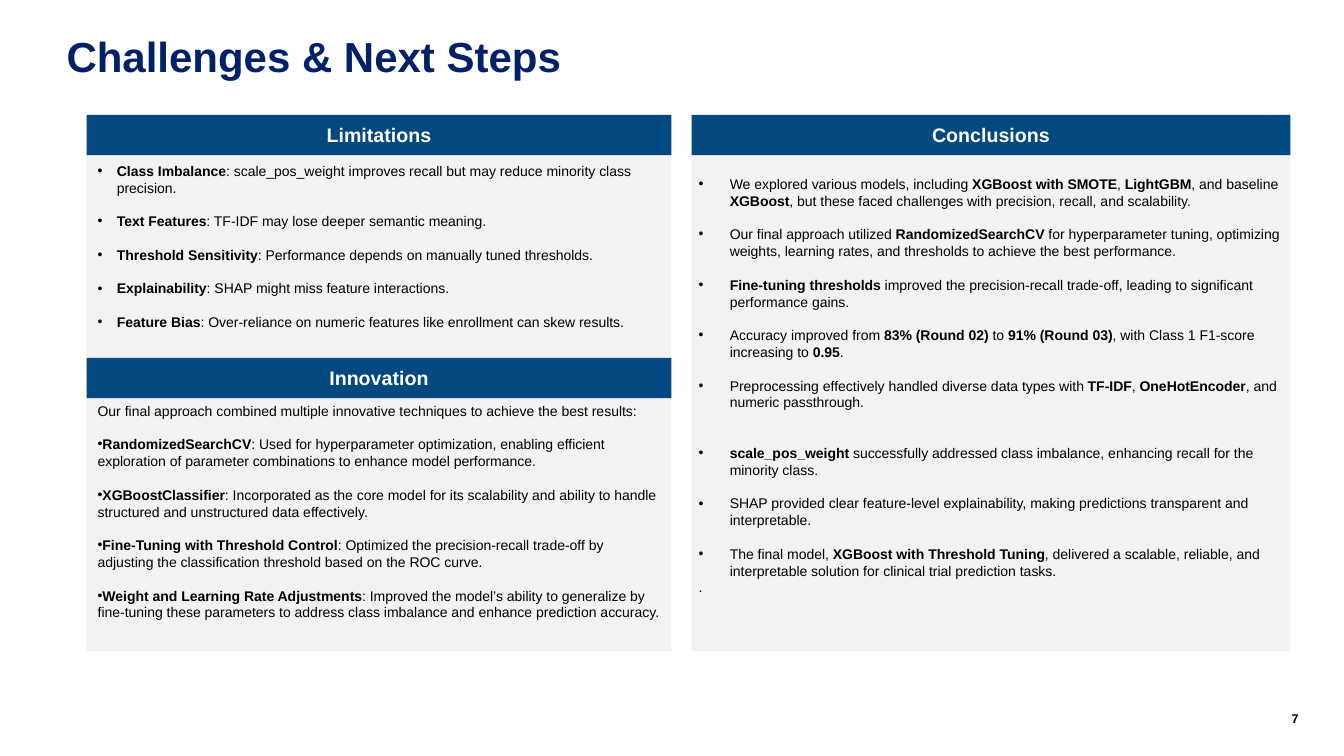
from lxml.etree import SubElement
from pptx import Presentation
from pptx.dml.color import RGBColor
from pptx.enum.shapes import MSO_SHAPE as Shape
from pptx.enum.text import MSO_ANCHOR as Anchor, PP_ALIGN as Align
from pptx.oxml.ns import qn
from pptx.util import Inches, Pt

NAVY, BLUE, GRAY, WHITE, BLACK = "002068", "03487F", "F2F2F2", "FFFFFF", "000000"


def color(value):
    return RGBColor.from_string(value)


def write(shape, paragraphs, size=10, text_color=BLACK, bold=False, align=Align.LEFT,
          anchor=Anchor.TOP, margin=None, line_spacing=None, gap=0, hanging=0):
    """Fill a shape with text: ** switches bold, a leading • makes a bullet."""
    frame = shape.text_frame
    frame.word_wrap = True
    frame.vertical_anchor = anchor
    if margin is not None:
        frame.margin_left = frame.margin_right = Inches(margin)
        frame.margin_top = frame.margin_bottom = Inches(margin)
    for index, text in enumerate(paragraphs):
        paragraph = frame.paragraphs[0] if index == 0 else frame.add_paragraph()
        paragraph.alignment = align
        paragraph.line_spacing = line_spacing
        paragraph.space_before = Pt(0)
        paragraph.space_after = Pt(gap)
        if text.startswith("•"):
            properties = paragraph._p.get_or_add_pPr()
            properties.set("marL", str(Inches(hanging)))
            properties.set("indent", str(-Inches(hanging)))
            SubElement(properties, qn("a:buFont")).set("typeface", "Arial")
            SubElement(properties, qn("a:buChar")).set("char", "•")
        for part, words in enumerate(text.removeprefix("•").split("**")):
            if words:
                run = paragraph.add_run()
                run.text = words
                run.font.name = "Arial"
                run.font.size = Pt(size)
                run.font.bold = bold or part % 2 == 1
                run.font.color.rgb = color(text_color)
    return frame


presentation = Presentation()
presentation.slide_width, presentation.slide_height = Inches(13.33), Inches(7.5)
slide = presentation.slides.add_slide(presentation.slide_layouts[5])

# Title
title = slide.shapes.title
title.left, title.top, title.width, title.height = map(Inches, (0.66, 0.34, 9.62, 0.51))
write(title, ["Challenges & Next Steps"], size=30, text_color=NAVY, bold=True,
      margin=0, line_spacing=0.95)

# Gray panels, then the blue heading bars
left_column, right_column = (0.86, 5.8), (6.86, 5.94)
blocks = [
    (left_column, 1.53, 4.93, GRAY, None),
    (right_column, 1.53, 4.93, GRAY, None),
    (left_column, 1.14, 0.4, BLUE, "Limitations"),
    (right_column, 1.14, 0.4, BLUE, "Conclusions"),
    (left_column, 3.55, 0.4, BLUE, "Innovation"),
]
for (left, width), top, height, fill, heading in blocks:
    block = slide.shapes.add_shape(
        Shape.RECTANGLE, Inches(left), Inches(top), Inches(width), Inches(height))
    block.shadow.inherit = False
    block.fill.solid()
    block.fill.fore_color.rgb = color(fill)
    block.line.fill.background()
    if heading:
        write(block, [heading], size=14, text_color=WHITE, bold=True,
              align=Align.CENTER, anchor=Anchor.MIDDLE)

# Body texts
limitations = [
    "•**Class Imbalance**: scale_pos_weight improves recall but may reduce minority class precision.",
    "•**Text Features**: TF-IDF may lose deeper semantic meaning.",
    "•**Threshold Sensitivity**: Performance depends on manually tuned thresholds.",
    "•**Explainability**: SHAP might miss feature interactions.",
    "•**Feature Bias**: Over-reliance on numeric features like enrollment can skew results.",
]
innovation = [
    "Our final approach combined multiple innovative techniques to achieve the best results:",
    "•**RandomizedSearchCV**: Used for hyperparameter optimization, enabling efficient "
    "exploration of parameter combinations to enhance model performance.",
    "•**XGBoostClassifier**: Incorporated as the core model for its scalability and ability "
    "to handle structured and unstructured data effectively.",
    "•**Fine-Tuning with Threshold Control**: Optimized the precision-recall trade-off by "
    "adjusting the classification threshold based on the ROC curve.",
    "•**Weight and Learning Rate Adjustments**: Improved the model’s ability to generalize by "
    "fine-tuning these parameters to address class imbalance and enhance prediction accuracy.",
]
conclusions = [
    "•We explored various models, including **XGBoost with SMOTE**, **LightGBM**, and baseline "
    "**XGBoost**, but these faced challenges with precision, recall, and scalability.",
    "•Our final approach utilized **RandomizedSearchCV** for hyperparameter tuning, optimizing "
    "weights, learning rates, and thresholds to achieve the best performance.",
    "•**Fine-tuning thresholds** improved the precision-recall trade-off, leading to significant "
    "performance gains.",
    "•Accuracy improved from **83% (Round 02)** to **91% (Round 03)**, with Class 1 F1-score "
    "increasing to **0.95**.",
    "•Preprocessing effectively handled diverse data types with **TF-IDF**, **OneHotEncoder**, "
    "and numeric passthrough.",
    "•**scale_pos_weight** successfully addressed class imbalance, enhancing recall for the "
    "minority class.",
    "•SHAP provided clear feature-level explainability, making predictions transparent and "
    "interpretable.",
    "•The final model, **XGBoost with Threshold Tuning**, delivered a scalable, reliable, and "
    "interpretable solution for clinical trial prediction tasks.",
    ".",
]
bodies = [
    (limitations, (0.87, 1.56, 5.79, 1.81), {"gap": 12, "hanging": 0.19}),
    (conclusions, (6.83, 1.69, 6.01, 5.15), {"gap": 12, "hanging": 0.31}),
    (innovation, (0.87, 3.94, 5.79, 2.29), {"gap": 12}),
    (["7"], (12.37, 7.05, 0.51, 0.2),
     {"size": 9, "bold": True, "align": Align.RIGHT, "margin": 0}),
]
frames = [write(slide.shapes.add_textbox(*map(Inches, box)), text, **style)
          for text, box, style in bodies]

# Wider break after the preprocessing point, none before the closing dot
conclusion_points = frames[1].paragraphs
conclusion_points[4].space_after = Pt(24)
conclusion_points[7].space_after = Pt(0)

presentation.save("out.pptx")
